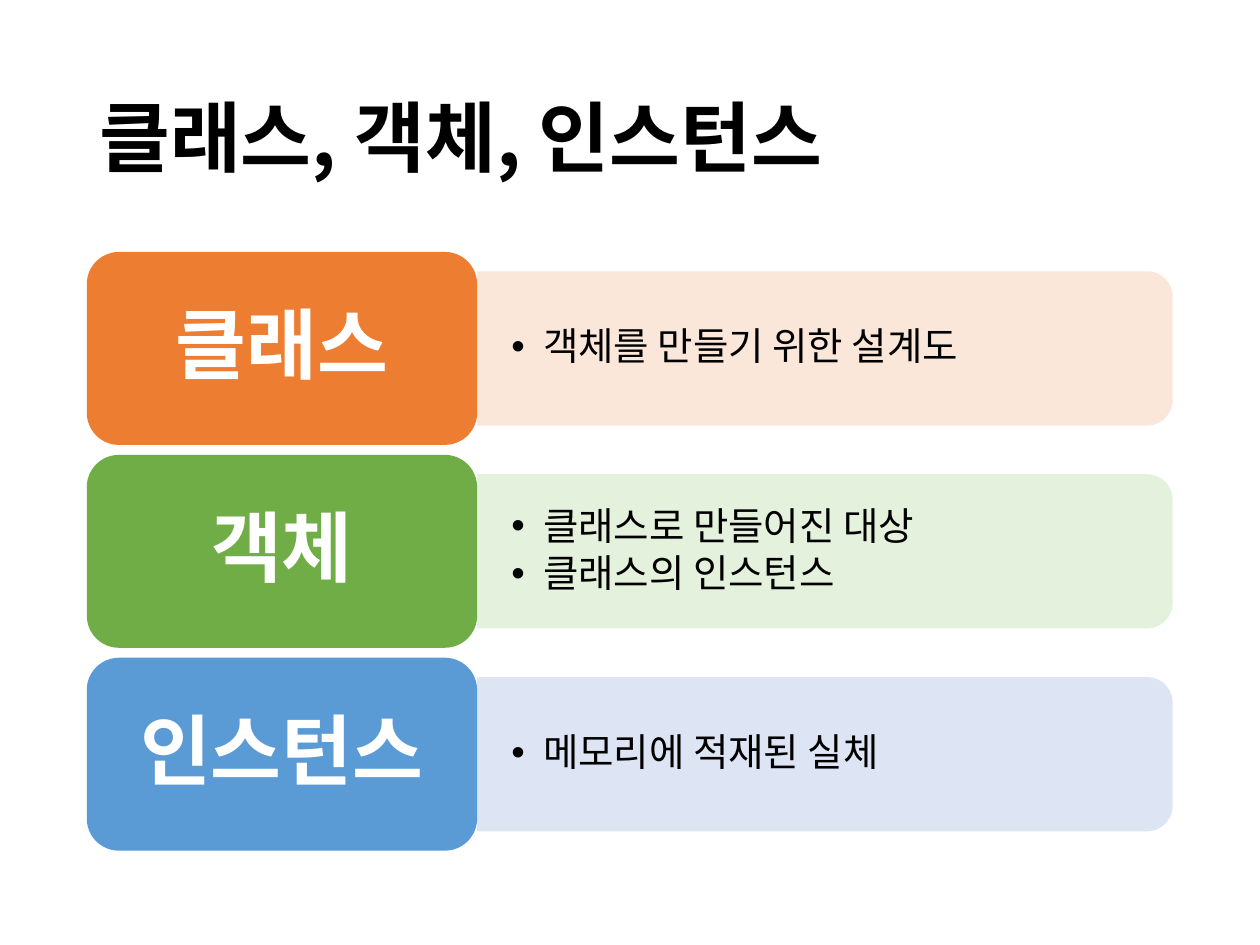
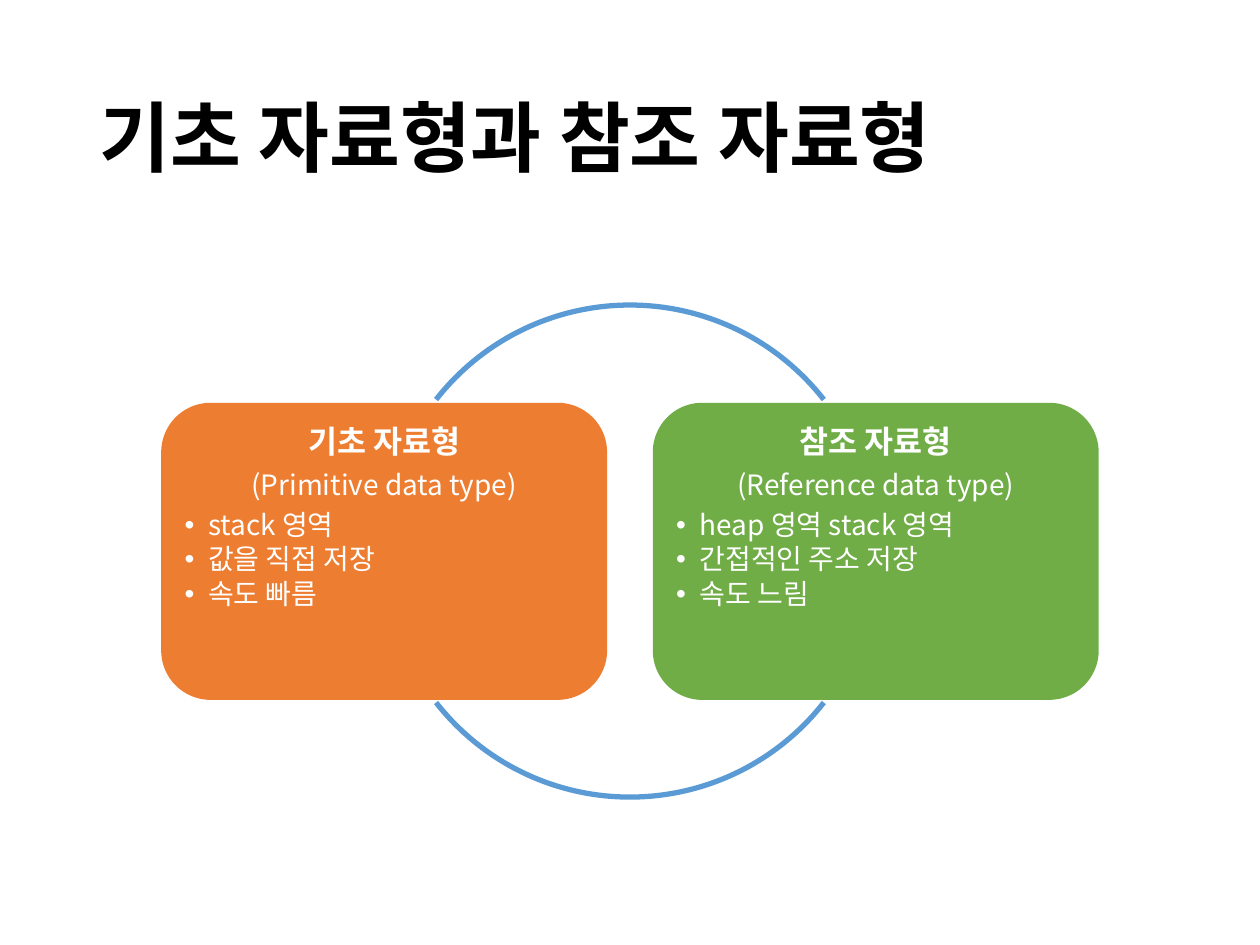
"""Build two slides on classes, objects, instances and data types."""
from dataclasses import dataclass

from pptx import Presentation
from pptx.dml.color import RGBColor
from pptx.enum.shapes import MSO_SHAPE
from pptx.enum.text import MSO_ANCHOR, MSO_AUTO_SIZE, PP_ALIGN
from pptx.oxml.ns import qn
from pptx.oxml.xmlchemy import OxmlElement
from pptx.presentation import Presentation as Deck
from pptx.shapes.autoshape import Shape
from pptx.slide import Slide
from pptx.text.text import TextFrame
from pptx.util import Cm, Pt


@dataclass(frozen=True)
class Theme:
    font: str = "Noto Sans CJK KR"
    black: str = "000000"
    white: str = "FFFFFF"
    orange: str = "ED7D31"
    green: str = "70AD47"
    blue: str = "5B9BD5"
    pale_orange: str = "FBE5D6"
    pale_green: str = "E2F0D9"
    pale_blue: str = "DAE3F3"
    title_size: float = 44
    list_size: float = 22
    heading_size: float = 18
    detail_size: float = 16
    arc_width: float = 3


@dataclass(frozen=True)
class Box:
    left: float
    top: float
    width: float
    height: float

    def place(self, shape: Shape) -> None:
        shape.left, shape.top = Cm(self.left), Cm(self.top)
        shape.width, shape.height = Cm(self.width), Cm(self.height)

    def centred(self, width: float, height: float) -> "Box":
        return Box(self.left + (self.width - width) / 2,
                   self.top + (self.height - height) / 2, width, height)


@dataclass(frozen=True)
class Line:
    text: str
    size: float
    color: str
    bold: bool = False
    align: PP_ALIGN = PP_ALIGN.LEFT
    after: int = 0
    indent: float = 0


@dataclass(frozen=True)
class Term:
    name: str
    color: str
    pale: str
    meanings: tuple[str, ...]


@dataclass(frozen=True)
class DataType:
    name: str
    english: str
    color: str
    traits: tuple[str, ...]


THEME = Theme()
PAGE_WIDTH, PAGE_HEIGHT = 25.4, 19.05
TITLE_BOX = Box(1.75, 1.02, 21.9, 3.68)
COMPARISON, TWO_CONTENT = 4, 3

TERMS = (
    Term("클래스", THEME.orange, THEME.pale_orange, ("객체를 만들기 위한 설계도",)),
    Term("객체", THEME.green, THEME.pale_green, ("클래스로 만들어진 대상", "클래스의 인스턴스")),
    Term("인스턴스", THEME.blue, THEME.pale_blue, ("메모리에 적재된 실체",)),
)
DATA_TYPES = (
    DataType("기초 자료형", "(Primitive data type)", THEME.orange,
             ("stack 영역", "값을 직접 저장", "속도 빠름")),
    DataType("참조 자료형", "(Reference data type)", THEME.green,
             ("heap 영역 stack 영역", "간접적인 주소 저장", "속도 느림")),
)


def write(frame: TextFrame, lines: list[Line], anchor: MSO_ANCHOR,
          inset_x: float, inset_y: float) -> None:
    frame.word_wrap = True
    frame.auto_size = MSO_AUTO_SIZE.NONE
    frame.vertical_anchor = anchor
    frame.margin_left = frame.margin_right = Cm(inset_x)
    frame.margin_top = frame.margin_bottom = Cm(inset_y)
    for index, line in enumerate(lines):
        paragraph = frame.add_paragraph() if index else frame.paragraphs[0]
        paragraph.alignment = line.align
        paragraph.level = 1 if line.indent else 0
        paragraph.line_spacing = 0.9
        paragraph.space_before = Pt(0)
        properties = paragraph._p.get_or_add_pPr()
        properties.set("marL", str(Cm(line.indent)))
        properties.set("indent", str(-Cm(line.indent)))
        spacing = OxmlElement("a:spcAft")
        percent = OxmlElement("a:spcPct")
        percent.set("val", str(line.after * 1000))
        spacing.append(percent)
        bullet = OxmlElement("a:buChar" if line.indent else "a:buNone")
        if line.indent:
            bullet.set("char", "•")
        properties.extend((spacing, bullet))
        run = paragraph.add_run()
        run.text = line.text
        run.font.size, run.font.bold = Pt(line.size), line.bold
        run.font.name = THEME.font
        run.font.color.rgb = RGBColor.from_string(line.color)
        east_asian = OxmlElement("a:ea")
        east_asian.set("typeface", THEME.font)
        run.font._element.find(qn("a:latin")).addnext(east_asian)


def add_block(slide: Slide, kind: MSO_SHAPE, box: Box, color: str) -> Shape:
    shape = slide.shapes.add_shape(kind, 0, 0, 0, 0)
    box.place(shape)
    shape.shadow.inherit = False
    shape.fill.solid()
    shape.fill.fore_color.rgb = RGBColor.from_string(color)
    shape.line.fill.background()
    return shape


def add_bar(slide: Slide, box: Box, color: str) -> None:
    bar = add_block(slide, MSO_SHAPE.ROUND_2_SAME_RECTANGLE,
                    box.centred(box.height, box.width), color)
    bar.rotation = 90
    alpha = OxmlElement("a:alpha")
    alpha.set("val", "90000")
    next(bar._element.spPr.iter(qn("a:srgbClr"))).append(alpha)


def add_arc(slide: Slide, box: Box, start: float, end: float) -> None:
    arc = add_block(slide, MSO_SHAPE.ARC, box, THEME.blue)
    arc.fill.background()
    arc.line.color.rgb = RGBColor.from_string(THEME.blue)
    arc.line.width = Pt(THEME.arc_width)
    for index, degrees in enumerate((start, end)):
        arc.adjustments[index] = degrees * 0.6


def fill_body(slide: Slide, body: Shape, box: Box, lines: list[Line],
              anchor: MSO_ANCHOR, inset_x: float, inset_y: float) -> None:
    slide.shapes._spTree.append(body._element)
    box.place(body)
    write(body.text_frame, lines, anchor, inset_x, inset_y)


def add_slide(deck: Deck, layout: int, title: str, bodies: int) -> tuple[Slide, list[Shape]]:
    slide = deck.slides.add_slide(deck.slide_layouts[layout])
    TITLE_BOX.place(slide.shapes.title)
    write(slide.shapes.title.text_frame,
          [Line(title, THEME.title_size, THEME.black, bold=True)],
          MSO_ANCHOR.MIDDLE, 0.25, 0.13)
    placeholders = list(slide.placeholders)[1:]
    for spare in placeholders[bodies:]:
        spare._element.getparent().remove(spare._element)
    return slide, placeholders[:bodies]


def build_terms(deck: Deck) -> None:
    slide, bodies = add_slide(deck, COMPARISON, "클래스, 객체, 인스턴스", len(TERMS))
    for row, (term, body) in enumerate(zip(TERMS, bodies)):
        label_box = Box(1.75, 5.08 + row * 4.09, 7.87, 3.89)
        right = label_box.left + label_box.width
        bar_box = Box(right, label_box.top + 0.39, 14.02, 3.11)
        add_bar(slide, bar_box, term.pale)
        meanings = [Line(text, THEME.list_size, THEME.black, after=15, indent=0.64)
                    for text in term.meanings]
        fill_body(slide, body, Box(right, bar_box.top + 0.15, 13.87, 2.81),
                  meanings, MSO_ANCHOR.MIDDLE, 0.69, 0.36)
        label = add_block(slide, MSO_SHAPE.ROUNDED_RECTANGLE, label_box, term.color)
        write(label.text_frame,
              [Line(term.name, THEME.title_size, THEME.white, True, PP_ALIGN.CENTER, 35)],
              MSO_ANCHOR.MIDDLE, 0.46, 0.23)


def build_data_types(deck: Deck) -> None:
    slide, bodies = add_slide(deck, TWO_CONTENT, "기초 자료형과 참조 자료형", len(DATA_TYPES))
    circle = Box(7.74, 6.15, 9.92, 9.92)
    for start in (218, 38):
        add_arc(slide, circle, start, start + 104)
    for column, (data_type, body) in enumerate(zip(DATA_TYPES, bodies)):
        card = Box(3.25 + column * 9.91, 8.12, 8.99, 5.99)
        add_block(slide, MSO_SHAPE.ROUNDED_RECTANGLE, card, data_type.color)
        lines = [
            Line(data_type.name, THEME.heading_size, THEME.white, True, PP_ALIGN.CENTER, 35),
            Line(data_type.english, THEME.detail_size, THEME.white, False, PP_ALIGN.CENTER, 35),
        ] + [Line(trait, THEME.detail_size, THEME.white, after=15, indent=0.48)
             for trait in data_type.traits]
        fill_body(slide, body, card.centred(8.41, 5.41), lines, MSO_ANCHOR.TOP, 0.18, 0.18)


def main() -> None:
    deck = Presentation()
    deck.slide_width, deck.slide_height = Cm(PAGE_WIDTH), Cm(PAGE_HEIGHT)
    build_terms(deck)
    build_data_types(deck)
    deck.save("out.pptx")


main()
